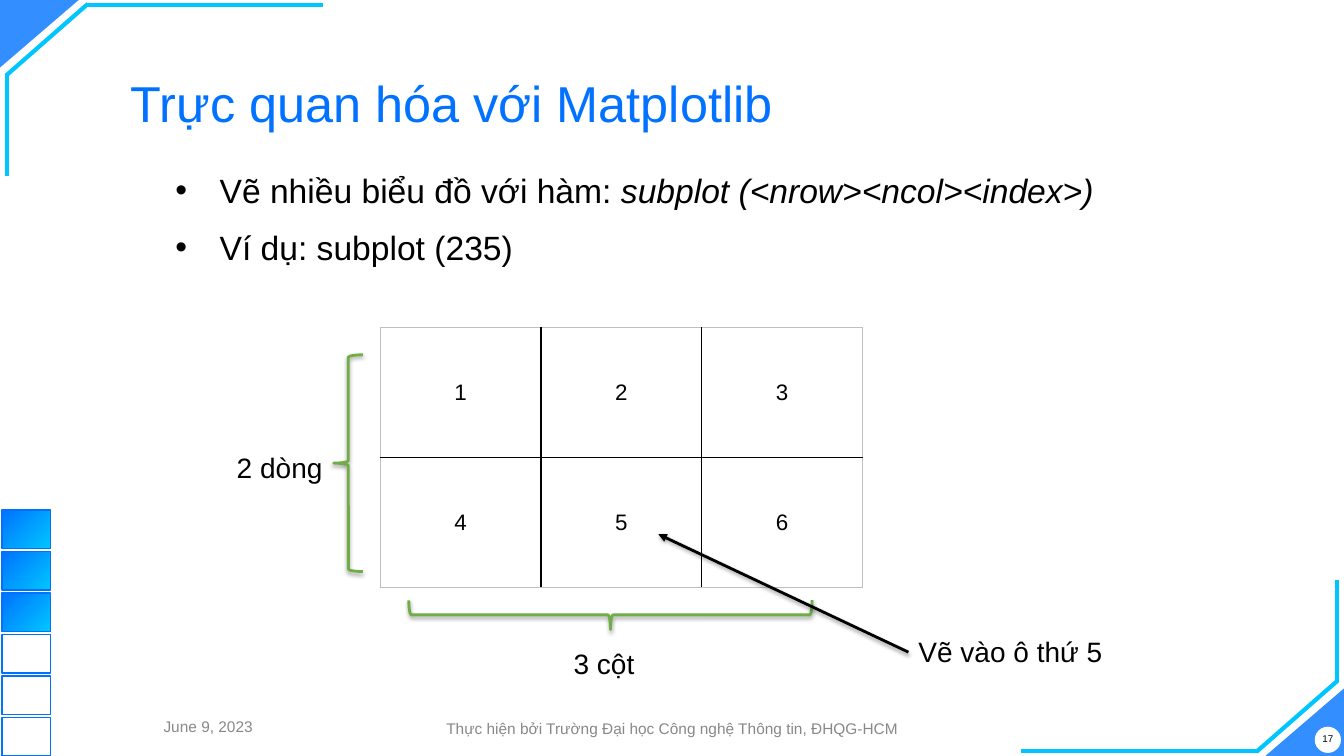
from lxml.etree import SubElement
from pptx import Presentation
from pptx.dml.color import RGBColor
from pptx.enum.shapes import MSO_CONNECTOR, MSO_SHAPE
from pptx.enum.text import MSO_ANCHOR, PP_ALIGN
from pptx.oxml.ns import qn
from pptx.util import Inches, Pt

W, H = 13.33, 7.5
BLUE, CYAN, GREEN = "0072FF", "00C6FF", "70AD47"
BLACK, GRAY, SILVER, WHITE = "000000", "888888", "BFBFBF", "FFFFFF"
TITLE = "Trực quan hóa với Matplotlib"
BULLETS = [
    [("Vẽ nhiều biểu đồ với hàm: ", False), ("subplot (<nrow><ncol><index>)", True)],
    [("Ví dụ: subplot (235)", False)],
]
CELLS = [["1", "2", "3"], ["4", "5", "6"]]
LABELS = [
    ("2 dòng", (2.25, 4.42, 1.24, 0.44)),
    ("3 cột", (5.59, 6.36, 0.95, 0.44)),
    ("Vẽ vào ô thứ 5", (9.01, 6.25, 2.39, 0.44)),
]
FOOTERS = [
    ("Thực hiện bởi Trường Đại học Công nghệ Thông tin, ĐHQG-HCM", (3.99, 7.08, 5.36, 0.29), 11, GRAY),
    ("17", (13.01, 7.17, 0.32, 0.32), 7, BLACK),
    ("June 9, 2023", (0.92, 7.06, 2.29, 0.29), 11, GRAY),
]
BRACES = [((3.31, 3.52, 0.29, 2.15), 0), ((5.91, 4.1, 0.29, 4), 270)]
CORNER = [((3.2, 0.05), (0.85, 0.05)), ((0.87, 0.04), (0.06, 0.75)), ((0.07, 1.75), (0.07, 0.73))]
TRI_W, TRI_H = 0.78, 0.67
SQUARES, FILLED, SQUARE_TOP, SQUARE_STEP = 6, 3, 5.06, 0.412
TABLE_X, TABLE_Y, COL_W, ROW_H = 3.77, 3.25, 1.595, 1.29

prs = Presentation()
prs.slide_width, prs.slide_height = Inches(W), Inches(H)
s = prs.slides.add_slide(prs.slide_layouts[6])


def rgb(color):
    return RGBColor.from_string(color)


def box(at):
    return [Inches(v) for v in at]


def style(font, size, color):
    font.name, font.size, font.color.rgb = "Arial", Pt(size), rgb(color)


def add_effects(sp, shadow):
    effects = SubElement(sp._element.spPr, qn("a:effectLst"))
    if shadow:
        outer = SubElement(effects, qn("a:outerShdw"), blurRad=str(Pt(3.1)), dist=str(Pt(1.6)),
                           dir="5400000", rotWithShape="0")
        color = SubElement(outer, qn("a:srgbClr"), val=BLACK)
        SubElement(color, qn("a:alpha"), val="38000")


def add_shape(kind, at, fill=None, line=None, width=1, shadow=False):
    sp = s.shapes.add_shape(kind, *box(at))
    if fill:
        sp.fill.solid()
        sp.fill.fore_color.rgb = rgb(fill)
    else:
        sp.fill.background()
    if line:
        sp.line.color.rgb, sp.line.width = rgb(line), Pt(width)
    else:
        sp.line.fill.background()
    add_effects(sp, shadow)
    return sp


def add_line(start, end, color, width, arrow=False):
    cx = s.shapes.add_connector(MSO_CONNECTOR.STRAIGHT, *box(start + end))
    cx.line.color.rgb, cx.line.width = rgb(color), Pt(width)
    if arrow:
        SubElement(cx.line._get_or_add_ln(), qn("a:tailEnd"), type="triangle")
    add_effects(cx, arrow)


def add_text(text, at, size, color, align=PP_ALIGN.LEFT, anchor=MSO_ANCHOR.TOP):
    tf = s.shapes.add_textbox(*box(at)).text_frame
    tf.word_wrap, tf.vertical_anchor = True, anchor
    tf.text = text
    p = tf.paragraphs[0]
    p.alignment = align
    style(p.runs[0].font, size, color)
    return p


def add_corner(flip):
    at = (W - TRI_W, H - TRI_H) if flip else (0, 0)
    tri = add_shape(MSO_SHAPE.ISOSCELES_TRIANGLE, at + (TRI_W, TRI_H), BLUE)
    tri.adjustments[0] = 1
    tri.rotation = 0 if flip else 180
    for clr in tri._element.spPr.iter(qn("a:srgbClr")):
        SubElement(clr, qn("a:alpha"), val="80000")
    for ends in CORNER:
        start, end = [(W - x, H - y) if flip else (x, y) for x, y in ends]
        add_line(start, end, CYAN, 3)


def add_square(i):
    sq = add_shape(MSO_SHAPE.RECTANGLE, (0.02, SQUARE_TOP + i * SQUARE_STEP, 0.48, 0.38), line=BLUE)
    if i < FILLED:
        sq.fill.gradient()
        sq.fill.gradient_angle = 315
        for stop, color in zip(sq.fill.gradient_stops, (BLUE, CYAN)):
            stop.color.rgb = rgb(color)


def add_border(cell, side, outer):
    ln = SubElement(cell._tc.get_or_add_tcPr(), qn("a:" + side), w=str(Pt(0.5 if outer else 1)))
    fill = SubElement(ln, qn("a:solidFill"))
    SubElement(fill, qn("a:srgbClr"), val=SILVER if outer else BLACK)


def add_grid():
    rows, cols = len(CELLS), len(CELLS[0])
    table = s.shapes.add_table(rows, cols, *box((TABLE_X, TABLE_Y, cols * COL_W, rows * ROW_H))).table
    table.first_row = table.horz_banding = False
    for i, row in enumerate(CELLS):
        for j, text in enumerate(row):
            cell = table.cell(i, j)
            cell.text = text
            cell.vertical_anchor = MSO_ANCHOR.MIDDLE
            cell.margin_left = cell.margin_right = Inches(0.12)
            cell.margin_top = cell.margin_bottom = Inches(0.06)
            p = cell.text_frame.paragraphs[0]
            p.alignment = PP_ALIGN.CENTER
            style(p.runs[0].font, 16, BLACK)
            add_border(cell, "lnL", j == 0)
            add_border(cell, "lnR", j == cols - 1)
            add_border(cell, "lnT", i == 0)
            add_border(cell, "lnB", i == rows - 1)
            cell.fill.background()


def add_bullets():
    tf = s.shapes.add_textbox(*box((1.58, 1.52, 10.11, 3.71))).text_frame
    tf.word_wrap = True
    for i, parts in enumerate(BULLETS):
        p = tf.add_paragraph() if i else tf.paragraphs[0]
        p.line_spacing, p.space_before = 1.3, Pt(3)
        pPr = p._p.get_or_add_pPr()
        pPr.set("marL", str(Inches(0.5)))
        pPr.set("indent", str(Inches(-0.44)))
        SubElement(SubElement(pPr, qn("a:buClr")), qn("a:srgbClr"), val=BLACK)
        SubElement(pPr, qn("a:buFont"), typeface="Arial")
        SubElement(pPr, qn("a:buChar"), char="•")
        for text, italic in parts:
            r = p.add_run()
            r.text = text
            style(r.font, 24, BLACK)
            r.font.italic = italic


add_corner(False)
add_corner(True)
add_shape(MSO_SHAPE.OVAL, (13.04, 7.21, 0.26, 0.26), WHITE)
for i in range(SQUARES):
    add_square(i)
for text, at, size, color in FOOTERS:
    add_text(text, at, size, color, PP_ALIGN.CENTER, MSO_ANCHOR.MIDDLE)
add_text(TITLE, (1.2, 0.58, 9, 0.94), 36, BLUE, anchor=MSO_ANCHOR.MIDDLE).line_spacing = 0.9
add_grid()
for at, angle in BRACES:
    add_shape(MSO_SHAPE.LEFT_BRACE, at, line=GREEN, width=2, shadow=True).rotation = angle
for text, at in LABELS:
    add_text(text, at, 20, BLACK)
add_line((9.01, 6.47), (6.53, 5.3), BLACK, 2, arrow=True)
add_bullets()
prs.save("out.pptx")
